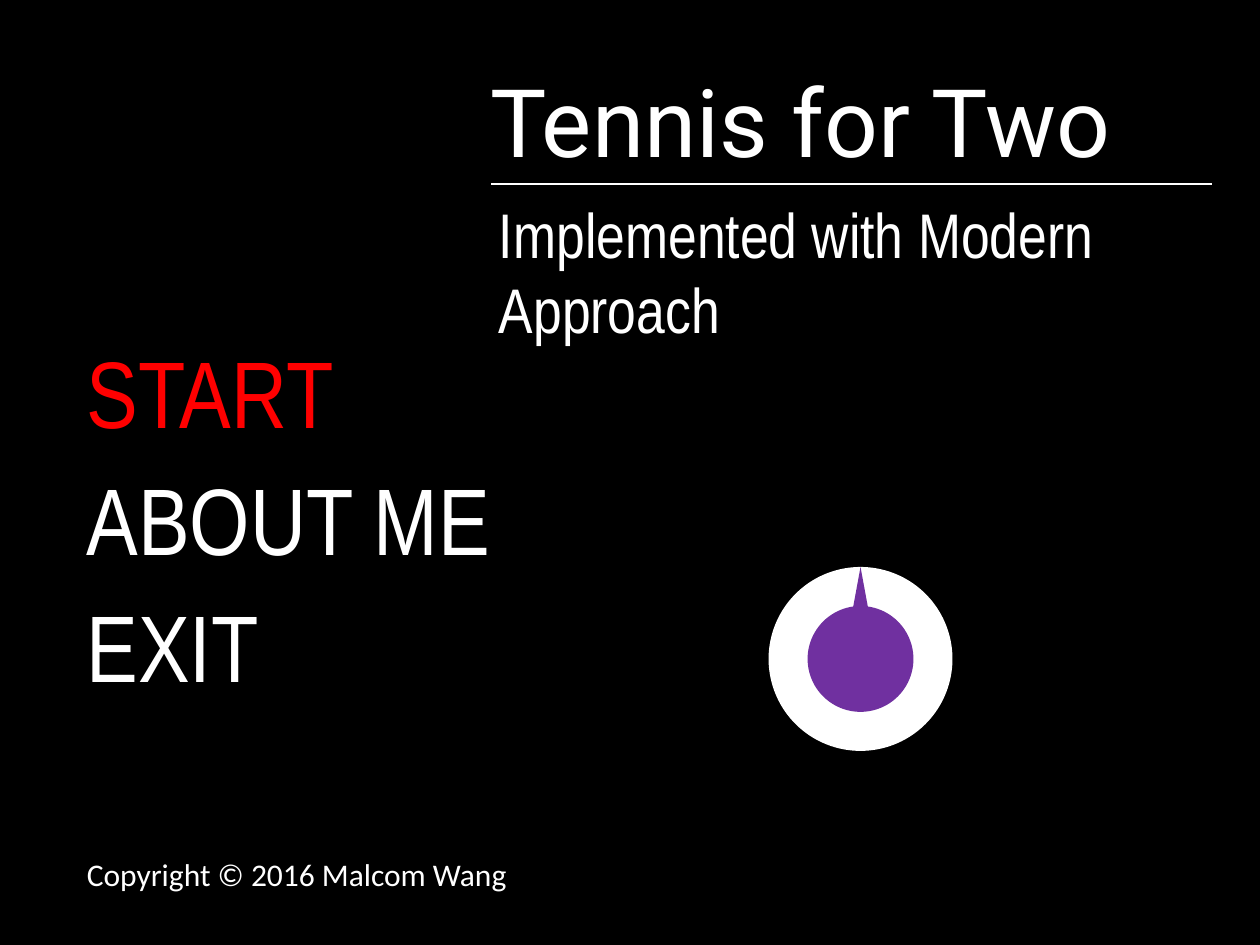
"""Build the start menu slide of a tennis game."""
import dataclasses

import lxml.etree
import pptx
import pptx.dml.color
import pptx.enum.shapes
import pptx.enum.text
import pptx.oxml.ns
import pptx.util

PX = 9144
HUES = {"black": "000000", "white": "FFFFFF", "red": "FF0000", "purple": "7030A0"}
KIND = pptx.enum.shapes.MSO_SHAPE
FRAME = {
    "word_wrap": True,
    "auto_size": pptx.enum.text.MSO_AUTO_SIZE.NONE,
    "vertical_anchor": pptx.enum.text.MSO_ANCHOR.TOP,
}
PARA = {
    "alignment": pptx.enum.text.PP_ALIGN.LEFT,
    "space_before": pptx.util.Pt(0),
}


@dataclasses.dataclass
class Box:
    left: int
    top: int
    width: int
    height: int

    def emu(self) -> dict:
        return {key: val * PX for key, val in dataclasses.asdict(self).items()}


@dataclasses.dataclass
class Label:
    text: str
    box: Box
    size: int
    face: str = "Arial Narrow"
    hue: str = "white"


@dataclasses.dataclass
class Part:
    kind: KIND
    box: Box
    hue: str


HEAD = Label("Tennis for Two", Box(379, 45, 621, 101), 54, "Roboto")
SUB = Label("Implemented with Modern Approach", Box(386, 150, 599, 71), 36)
MENU = [("START", 236, "red"), ("ABOUT ME", 466, "white"), ("EXIT", 312, "white")]
NOTE = Label("Copyright © 2016 Malcom Wang", Box(59, 674, 362, 40), 18, "Calibri")
KNOB = [
    Part(KIND.OVAL, Box(610, 450, 146, 146), "white"),
    Part(KIND.OVAL, Box(641, 481, 84, 84), "purple"),
    Part(KIND.ISOSCELES_TRIANGLE, Box(676, 450, 14, 38), "purple"),
]


def tint(name: str) -> pptx.dml.color.RGBColor:
    return pptx.dml.color.RGBColor.from_string(HUES[name])


def apply(item, form: dict) -> None:
    for key, val in form.items():
        setattr(item, key, val)


def write(shape, label: Label) -> None:
    apply(shape, label.box.emu())
    frame = shape.text_frame
    frame.text = label.text
    apply(frame, FRAME)
    para = frame.paragraphs[0]
    apply(para, PARA)
    font = para.runs[0].font
    apply(font, {"size": pptx.util.Pt(label.size), "name": label.face})
    font.color.rgb = tint(label.hue)


def add_text(slide, label: Label) -> None:
    write(slide.shapes.add_textbox(**label.box.emu()), label)


def add_part(slide, part: Part) -> None:
    shape = slide.shapes.add_shape(part.kind, **part.box.emu())
    shape.shadow.inherit = False
    shape.fill.solid()
    shape.fill.fore_color.rgb = tint(part.hue)
    shape.line.fill.background()


def add_rule(slide, left: int, right: int, top: int) -> None:
    rule = slide.shapes.add_connector(
        pptx.enum.shapes.MSO_CONNECTOR.STRAIGHT,
        left * PX, top * PX, right * PX, top * PX,
    )
    rule.line.width = pptx.util.Pt(1.5)
    rule.line.color.rgb = tint("white")
    props = rule._element.spPr
    lxml.etree.SubElement(props, pptx.oxml.ns.qn("a:effectLst"))


def main() -> None:
    deck = pptx.Presentation()
    apply(deck, {"slide_width": 1000 * PX, "slide_height": 750 * PX})
    slide = deck.slides.add_slide(deck.slide_layouts[0])
    fill = slide.background.fill
    fill.solid()
    fill.fore_color.rgb = tint("black")

    for part in KNOB:
        add_part(slide, part)
    for row, (text, width, hue) in enumerate(MENU):
        box = Box(59, 260 + row * 101, width, 101)
        add_text(slide, Label(text, box, 54, hue=hue))
    write(slide.shapes.title, HEAD)
    write(slide.placeholders[1], SUB)
    add_rule(slide, 390, 962, 146)
    add_text(slide, NOTE)
    deck.save("out.pptx")


if __name__ == "__main__":
    main()
